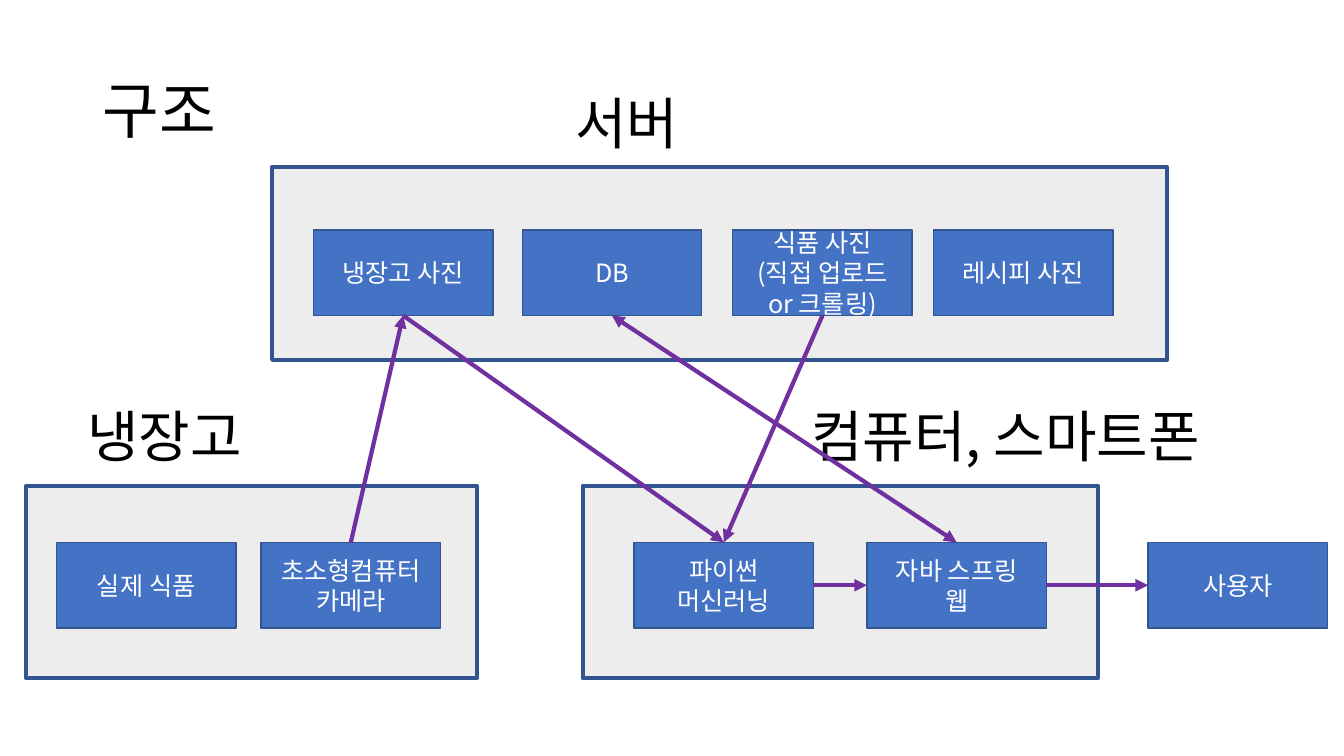
from dataclasses import dataclass
from typing import Any

import lxml.etree
import pptx
import pptx.dml.color
import pptx.enum.shapes
import pptx.enum.text
import pptx.oxml.ns
import pptx.util

Pt = pptx.util.Pt
ANCHOR = pptx.enum.text.MSO_ANCHOR
FONT = "Noto Sans CJK KR"
COLORS = {"area": "EDEDED", "part": "4472C4", "border": "325491",
          "flow": "7030A0", "dark": "000000", "light": "FFFFFF"}

# Shared sizes and rows, in points
AREA_HEIGHT = 137.5
PART_WIDTH, PART_HEIGHT = 128.2, 61.2
SERVER_ROW, DEVICE_ROW = 164.2, 387.4
TOP, LEFT, BOTTOM, RIGHT = range(4)

# Format values
HEADING_FRAME = {"word_wrap": True, "vertical_anchor": ANCHOR.MIDDLE}
LABEL_FRAME = {"word_wrap": True, "vertical_anchor": ANCHOR.TOP,
               "auto_size": pptx.enum.text.MSO_AUTO_SIZE.SHAPE_TO_FIT_TEXT}
PART_FRAME = HEADING_FRAME
HEADING_PARAGRAPH = {"line_spacing": 0.9}
PART_PARAGRAPH = {"alignment": pptx.enum.text.PP_ALIGN.CENTER}


@dataclass
class Area:
    """A grey enclosure with its label above."""
    left: float
    top: float
    width: float
    label: str
    label_left: float
    label_top: float
    label_width: float


@dataclass
class Part:
    left: float
    top: float
    text: str


@dataclass
class Flow:
    start: str
    start_side: int
    end: str
    end_side: int
    two_way: bool = False


AREAS = [
    Area(194.4, 119.5, 639.4, "서버", 403.9, 59.8, 168.5),
    Area(18.7, 347, 321.8, "냉장고", 55.4, 283, 168.5),
    Area(416.2, 347, 367.9, "컴퓨터, 스마트폰", 572.4, 283, 349.9),
]
PARTS = {
    "fridge_photo": Part(223.9, SERVER_ROW, "냉장고 사진"),
    "database": Part(373, SERVER_ROW, "DB"),
    "food_photo": Part(523.4, SERVER_ROW, "식품 사진\n(직접 업로드 or 크롤링)"),
    "recipe_photo": Part(666.7, SERVER_ROW, "레시피 사진"),
    "food": Part(40.3, DEVICE_ROW, "실제 식품"),
    "camera": Part(186.5, DEVICE_ROW, "초소형컴퓨터\n카메라"),
    "learning": Part(452.9, DEVICE_ROW, "파이썬\n머신러닝"),
    "web": Part(619.2, DEVICE_ROW, "자바 스프링\n웹"),
    "user": Part(820.1, DEVICE_ROW, "사용자"),
}
FLOWS = [
    Flow("camera", TOP, "fridge_photo", BOTTOM),
    Flow("fridge_photo", BOTTOM, "learning", TOP),
    Flow("food_photo", BOTTOM, "learning", TOP),
    Flow("learning", RIGHT, "web", LEFT),
    Flow("database", BOTTOM, "web", TOP, two_way=True),
    Flow("web", RIGHT, "user", LEFT),
]


def rgb(color: str) -> pptx.dml.color.RGBColor:
    return pptx.dml.color.RGBColor.from_string(COLORS[color])


def apply(target: Any, formats: dict[str, Any]) -> None:
    for name, value in formats.items():
        setattr(target, name, value)


def add_xml(parent: Any, tag: str, **attributes: str) -> None:
    lxml.etree.SubElement(parent, pptx.oxml.ns.qn(tag), attributes)


def write(shape: Any, text: str, size: float, color: str,
          frame: dict[str, Any], paragraph_format: dict[str, Any]) -> None:
    shape.text_frame.text = text
    apply(shape.text_frame, frame)
    for paragraph in shape.text_frame.paragraphs:
        apply(paragraph, paragraph_format)
        for run in paragraph.runs:
            apply(run.font, {"size": Pt(size), "name": FONT})
            run.font.color.rgb = rgb(color)
            add_xml(run.font._element, "a:ea", typeface=FONT)


def add_text(slide: Any, box: tuple[float, ...], text: str, size: float,
             frame: dict[str, Any], paragraph_format: dict[str, Any]) -> None:
    textbox = slide.shapes.add_textbox(*map(Pt, box))
    write(textbox, text, size, "dark", frame, paragraph_format)


def add_box(slide: Any, box: tuple[float, ...], fill: str, border: float) -> Any:
    shape = slide.shapes.add_shape(
        pptx.enum.shapes.MSO_SHAPE.RECTANGLE, *map(Pt, box))
    shape.shadow.inherit = False
    shape.fill.solid()
    shape.fill.fore_color.rgb = rgb(fill)
    shape.line.color.rgb = rgb("border")
    shape.line.width = Pt(border)
    return shape


def add_area(slide: Any, area: Area) -> None:
    add_box(slide, (area.left, area.top, area.width, AREA_HEIGHT), "area", 3)
    add_text(slide, (area.label_left, area.label_top, area.label_width, 55.4),
             area.label, 40, LABEL_FRAME, {})


def add_part(slide: Any, part: Part) -> Any:
    box = add_box(slide, (part.left, part.top, PART_WIDTH, PART_HEIGHT), "part", 1)
    write(box, part.text, 18, "light", PART_FRAME, PART_PARAGRAPH)
    return box


def add_flow(slide: Any, flow: Flow, boxes: dict[str, Any]) -> None:
    arrow = slide.shapes.add_connector(
        pptx.enum.shapes.MSO_CONNECTOR.STRAIGHT, 0, 0, 0, 0)
    arrow.begin_connect(boxes[flow.start], flow.start_side)
    arrow.end_connect(boxes[flow.end], flow.end_side)
    arrow.line.color.rgb = rgb("flow")
    arrow.line.width = Pt(3)
    line = arrow.line._get_or_add_ln()
    if flow.two_way:
        add_xml(line, "a:headEnd", type="triangle")
    add_xml(line, "a:tailEnd", type="triangle")
    add_xml(arrow._element.spPr, "a:effectLst")


def main() -> None:
    deck = pptx.Presentation()
    apply(deck, {"slide_width": Pt(960), "slide_height": Pt(540)})
    slide = deck.slides.add_slide(deck.slide_layouts[6])

    # Heading
    add_text(slide, (66.2, 28.8, 828, 104.4), "구조", 44,
             HEADING_FRAME, HEADING_PARAGRAPH)

    # Areas, their parts and the flows between parts
    for area in AREAS:
        add_area(slide, area)
    boxes = {key: add_part(slide, part) for key, part in PARTS.items()}
    for flow in FLOWS:
        add_flow(slide, flow, boxes)

    deck.save("out.pptx")


if __name__ == "__main__":
    main()
